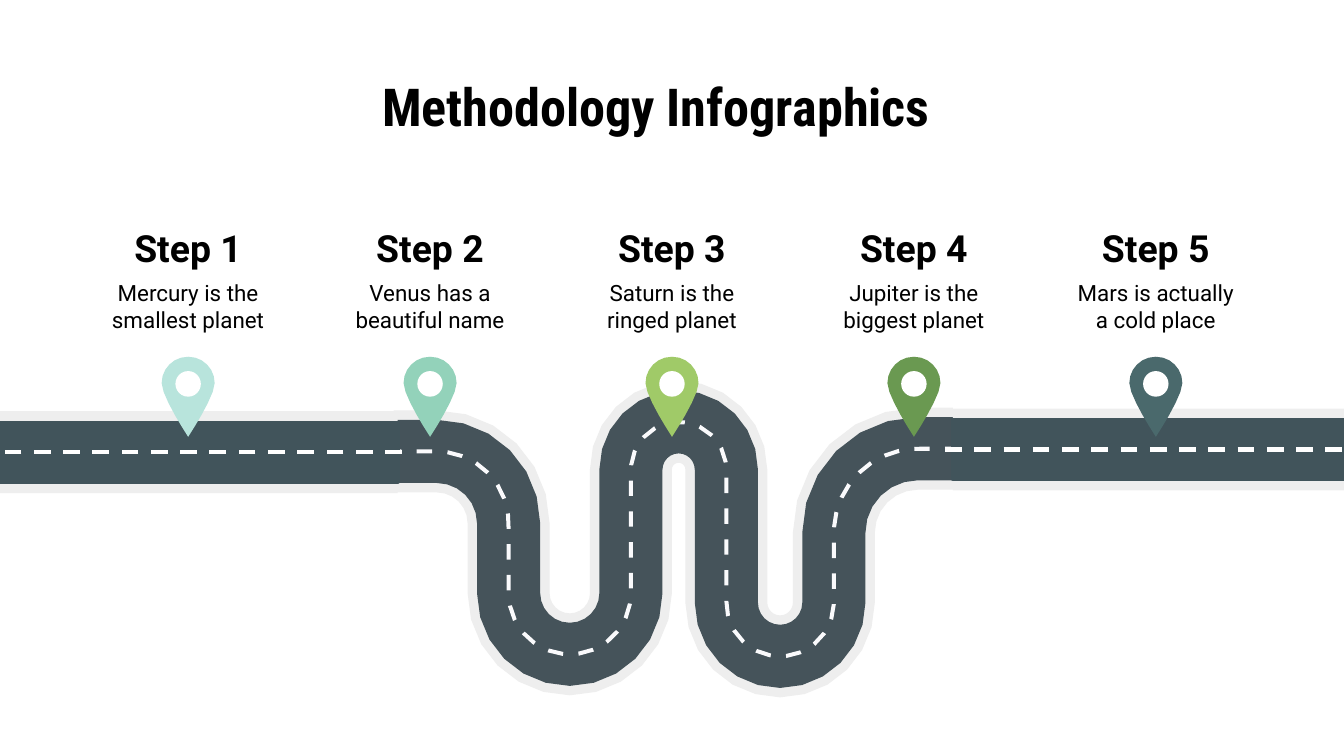
from collections import namedtuple
from math import cos, radians, sin

from lxml.etree import SubElement
from pptx import Presentation
from pptx.dml.color import RGBColor
from pptx.enum.dml import MSO_LINE_DASH_STYLE as Dash
from pptx.enum.shapes import MSO_CONNECTOR as Link, MSO_SHAPE as Preset
from pptx.enum.text import MSO_ANCHOR as Anchor, PP_ALIGN as Align
from pptx.oxml.ns import qn
from pptx.util import Emu, Inches, Pt

COLUMN = Inches(0.1)
COLUMNS, ROWS = 100, 56.25
Box = namedtuple("Box", "left top width height")

COLORS = {
    "text": "000000",
    "verge": "EEEEEE",
    "bend": "45535A",
    "straight": "41545B",
    "bend_dash": "FAFAFC",
    "white": "FFFFFF",
}
STEPS = [
    ("Step 1", "Mercury is the smallest planet", "B8E4DC"),
    ("Step 2", "Venus has a beautiful name", "93D2BA"),
    ("Step 3", "Saturn is the ringed planet", "A0CA68"),
    ("Step 4", "Jupiter is the biggest planet", "6A9951"),
    ("Step 5", "Mars is actually a cold place", "4A696C"),
]
STRETCHES = [
    (3.2, 5.35, 90),
    (5.2, 4.55, -180),
    (9.2, 3.55, 180),
    (9.9, 4, -180),
    (5.2, 6.25, 90),
    (2.6, 0, 0),
]
ROAD_LENGTH = sum(run + bend * abs(radians(turn)) for run, bend, turn in STRETCHES)
VERGE_WIDTH, ROAD_WIDTH, DASH_WIDTH = 6.1, 4.7, 0.3


def cols(count):
    return Emu(round(count * COLUMN))


def within(box, x, y, width, height):
    return Box(box.left + x * box.width, box.top + y * box.height,
               width * box.width, height * box.height)


def paint(shape, color, outline=None):
    shape.shadow.inherit = False
    shape.fill.solid()
    shape.fill.fore_color.rgb = RGBColor.from_string(color)
    if outline:
        shape.line.color.rgb = RGBColor.from_string(color)
        shape.line.width = Pt(outline)
    else:
        shape.line.fill.background()


def add_preset(slide, kind, box, color, outline=None):
    shape = slide.shapes.add_shape(kind, *map(cols, box))
    paint(shape, color, outline)


def add_outline(slide, contours, color):
    builder = None
    for contour in contours:
        points = [(cols(x), cols(y)) for x, y in contour]
        if builder is None:
            builder = slide.shapes.build_freeform(*points[0], scale=1.0)
        else:
            builder.move_to(*points[0])
        builder.add_line_segments(points[1:], close=True)
    paint(builder.convert_to_shape(), color)


def add_text(slide, box, text, size, font="Roboto", bold=False, anchor=Anchor.MIDDLE):
    frame = slide.shapes.add_textbox(*map(cols, box)).text_frame
    frame.word_wrap = True
    frame.vertical_anchor = anchor
    frame.margin_left = frame.margin_right = cols(1)
    frame.margin_top = frame.margin_bottom = cols(1)
    paragraph = frame.paragraphs[0]
    paragraph.alignment = Align.CENTER
    run = paragraph.add_run()
    run.text = text
    run.font.name, run.font.size, run.font.bold = font, Pt(size), bold
    run.font.color.rgb = RGBColor.from_string(COLORS["text"])


def road_point(start, distance, offset):
    x, y = start
    heading = 0
    for run, bend, turn in STRETCHES:
        step = min(distance, run)
        x, y = x + step * cos(heading), y + step * sin(heading)
        distance -= step
        if bend and distance > 0:
            side = 1 if turn > 0 else -1
            arc = min(distance, bend * abs(radians(turn)))
            ahead = heading + side * arc / bend
            x += side * bend * (sin(ahead) - sin(heading))
            y += side * bend * (cos(heading) - cos(ahead))
            heading = ahead
            distance -= arc
        if distance <= 0:
            break
    return x - offset * sin(heading), y + offset * cos(heading)


def road_stops():
    stops = [0]
    for run, bend, turn in STRETCHES:
        stops.append(stops[-1] + run)
        pieces = abs(turn) // 15
        for _ in range(pieces):
            stops.append(stops[-1] + bend * radians(15))
    return stops


def road_band(start, stops, width):
    near = [road_point(start, stop, -width / 2) for stop in stops]
    far = [road_point(start, stop, width / 2) for stop in reversed(stops)]
    return near + far


def winding_road(slide, box):
    start = box.left, box.top + box.height * 0.22
    for width, color in ((VERGE_WIDTH, "verge"), (ROAD_WIDTH, "bend")):
        add_outline(slide, [road_band(start, road_stops(), width)], COLORS[color])
    period = ROAD_LENGTH / 40
    dashes = []
    for i in range(41):
        begin = (i - 0.25) * period
        ends = max(begin, 0), min(begin + period / 2, ROAD_LENGTH)
        dashes.append(road_band(start, ends, DASH_WIDTH))
    add_outline(slide, dashes, COLORS["bend_dash"])


def straight_road(slide, box, dash_from, dash_to):
    add_preset(slide, Preset.RECTANGLE, box, COLORS["verge"])
    add_preset(slide, Preset.RECTANGLE, within(box, 0, 0.14, 1, 0.72), COLORS["straight"], 2.25)
    middle = cols(box.top + box.height / 2)
    line = slide.shapes.add_connector(
        Link.STRAIGHT,
        cols(box.left + dash_from * box.width), middle,
        cols(box.left + dash_to * box.width), middle)
    line.line.color.rgb = RGBColor.from_string(COLORS["white"])
    line.line.width = Pt(2.25)
    line.line.dash_style = Dash.DASH
    SubElement(line._element.spPr, qn("a:effectLst"))


def curve(a, b, c, d, pieces=6):
    for i in range(pieces + 1):
        t = i / pieces
        u = 1 - t
        yield tuple(u**3 * p + 3 * u * u * t * q + 3 * u * t * t * r + t**3 * s
                    for p, q, r, s in zip(a, b, c, d))


def pin(slide, box, color):
    left_side = [*curve((0.5, 0), (0.22, 0), (0, 0.15), (0, 0.33)),
                 *curve((0, 0.33), (0, 0.5), (0.5, 1), (0.5, 1))]
    right_side = [(1 - x, y) for x, y in reversed(left_side)]
    outline = [(box.left + x * box.width, box.top + y * box.height)
               for x, y in left_side + right_side]
    add_outline(slide, [outline], color)
    add_preset(slide, Preset.OVAL, within(box, 0.26, 0.18, 0.48, 0.32), COLORS["white"])


def milestone(slide, box, heading, detail, color):
    add_text(slide, within(box, 0, 0, 1, 0.25), heading, 20, bold=True)
    add_text(slide, within(box, 0, 0.27, 1, 0.25), detail, 12)
    pin(slide, within(box, 0.36, 0.63, 0.28, 0.37), color)


def main():
    deck = Presentation()
    deck.slide_width, deck.slide_height = cols(COLUMNS), cols(ROWS)
    slide = deck.slides.add_slide(deck.slide_layouts[6])
    add_text(slide, Box(5, 4.5, 87.6, 5.2), "Methodology Infographics", 28,
             font="Roboto Condensed", bold=True, anchor=Anchor.TOP)
    winding_road(slide, Box(29.3, 28.4, 41.6, 23.6))
    straight_road(slide, Box(70.9, 30.4, 29.3, 6.1), -0.02, 1)
    straight_road(slide, Box(-0.1, 30.6, 29.7, 6.1), 1.01, 0.01)
    for i, step in enumerate(STEPS):
        milestone(slide, Box(6.95 + 18 * i, 16.4, 14.1, 16.1), *step)
    deck.save("out.pptx")


if __name__ == "__main__":
    main()
